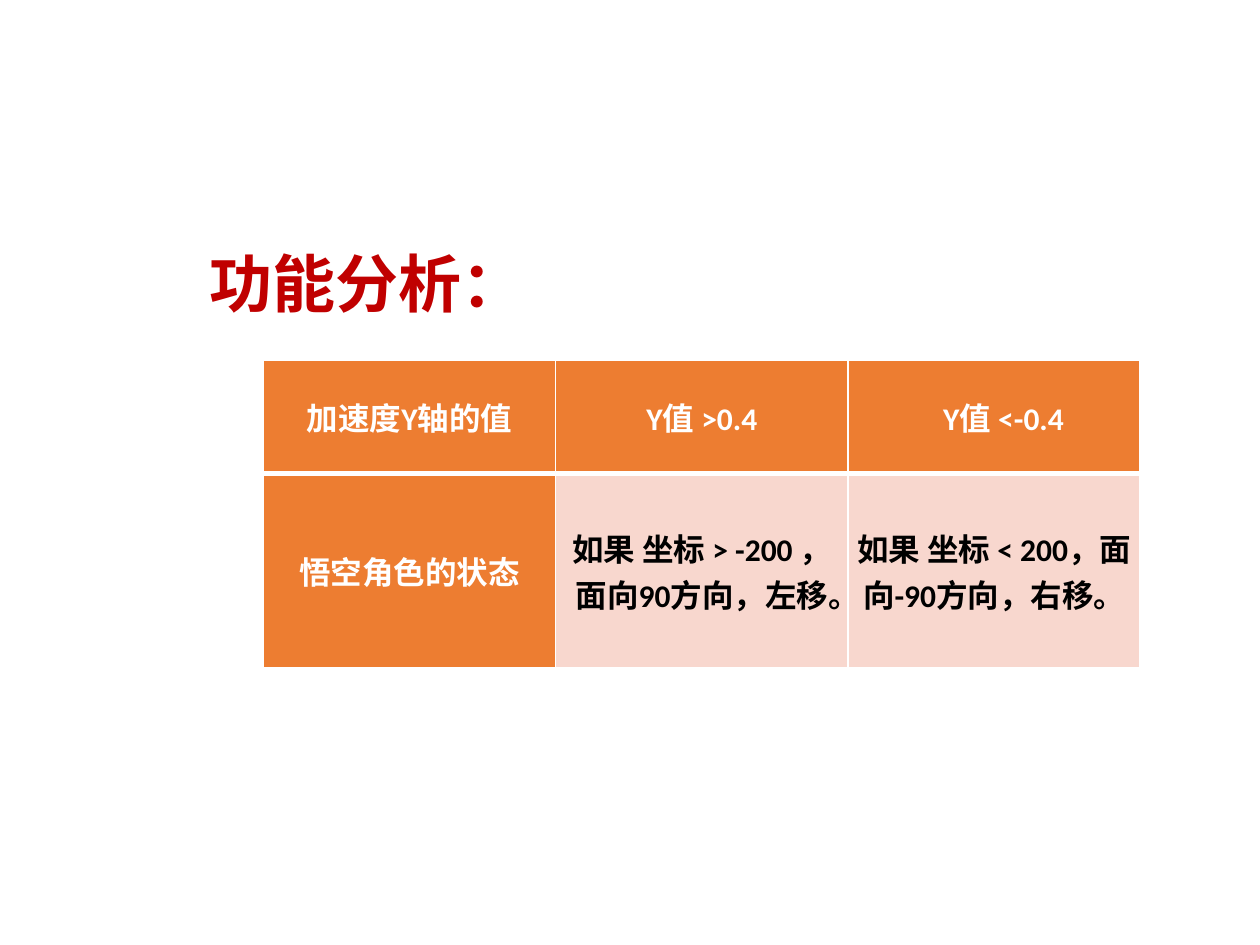
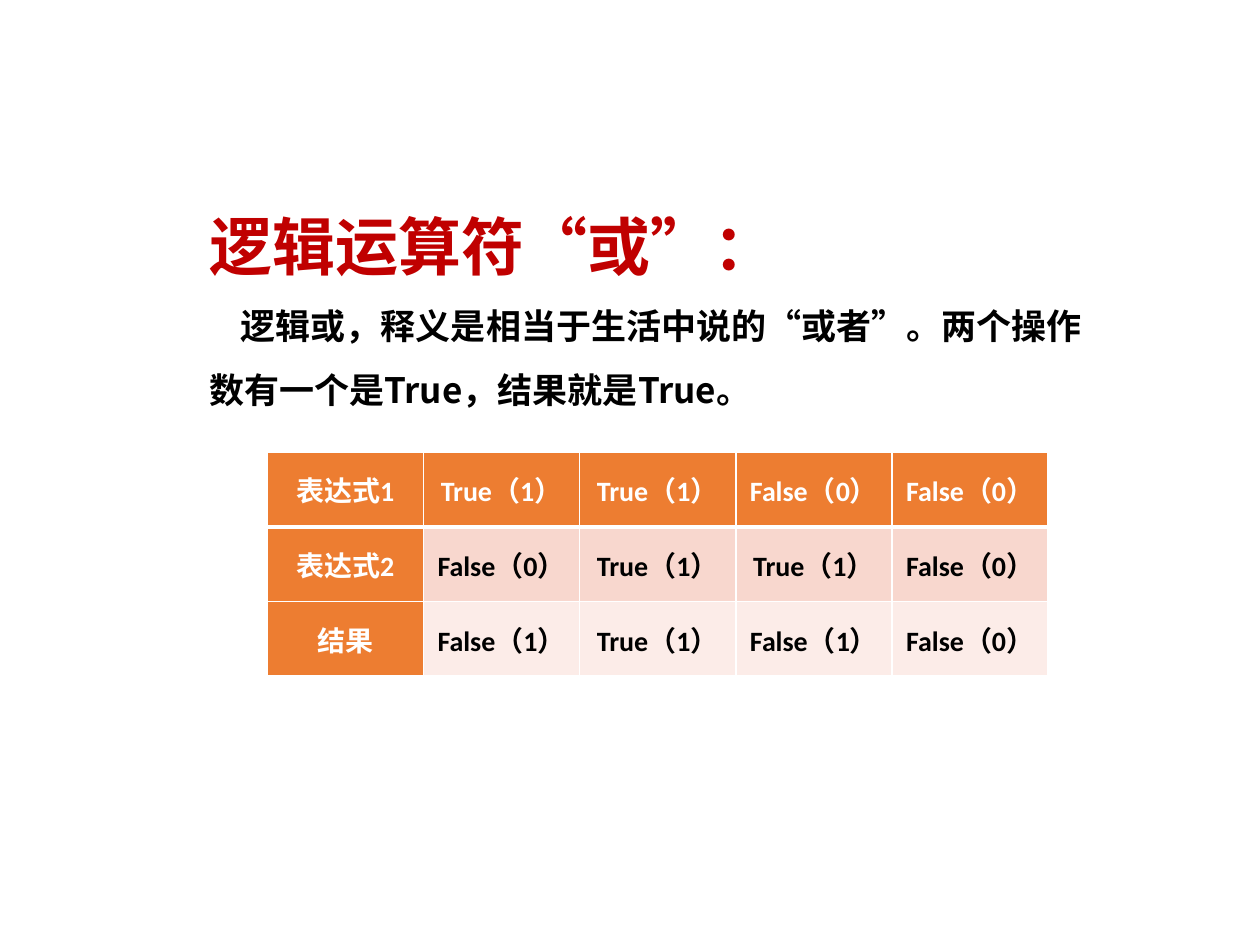
"""Builds two slides on Y axis control and the logical operator "or"."""
from lxml.etree import SubElement as Sub
from pptx import Presentation
from pptx.dml.color import RGBColor
from pptx.enum.text import MSO_ANCHOR as Anchor, MSO_AUTO_SIZE as Fit, PP_ALIGN as Align
from pptx.oxml.ns import qn
from pptx.util import Inches, Pt

SANS, LATIN = "Noto Sans CJK SC", "Calibri"
RED, BLACK, WHITE, ORANGE = "C00000", "000000", "FFFFFF", "ED7D31"
TINTS = ["F8D7CE", "FCECE8"]
LEFT, WIDTH = 1.56, 7.17


def tint(hue):
    return RGBColor.from_string(hue)


def write(frame, text, size, font, hue, **form):
    para = frame.paragraphs[0]
    run = para.add_run()
    run.text = text
    for name, value in {"size": Pt(size), "name": font, "bold": True}.items():
        setattr(run.font, name, value)
    run.font.color.rgb = tint(hue)
    Sub(run.font._element, qn("a:ea"), typeface=SANS)
    for name, value in form.items():
        setattr(para, name, value)
    return para


slides = [
    {"layout": 5, "title": "功能分析：", "pitch": 88, "size": 18,
     "at": (2.09, 2.86), "col": 2.32, "rows": [0.9, 1.54],
     "cells": [["加速度Y轴的值", "Y值 >0.4", "Y值 <-0.4"],
               ["悟空角色的状态", "如果 坐标 > -200 ，面向90方向，左移。",
                "如果 坐标 < 200，面向-90方向，右移。"]]},
    {"layout": 1, "title": "逻辑运算符“或”：", "pitch": 67, "size": 16,
     "body": "逻辑或，释义是相当于生活中说的“或者”。两个操作数有一个是True，结果就是True。",
     "at": (2.12, 3.59), "col": 1.24, "rows": [0.58] * 3,
     "cells": [["表达式1", "True（1）", "True（1）", "False（0）", "False（0）"],
               ["表达式2", "False（0）", "True（1）", "True（1）", "False（0）"],
               ["结果", "False（1）", "True（1）", "False（1）", "False（0）"]]},
]

deck = Presentation()
deck.slide_width, deck.slide_height = Inches(10), Inches(7.5)

for page in slides:
    slide = deck.slides.add_slide(deck.slide_layouts[page["layout"]])
    parts = [(slide.shapes.title, page["title"], 1.27, 1.09, 36, RED, page["pitch"])]
    if "body" in page:
        parts.append((slide.placeholders[1], page["body"], 2.19, 1.12, 20, BLACK, 36.6))
    for box, text, top, high, size, hue, pitch in parts:
        box.left, box.top, box.width, box.height = map(Inches, (LEFT, top, WIDTH, high))
        frame = box.text_frame
        frame.word_wrap, frame.auto_size = True, Fit.NONE
        frame.vertical_anchor = Anchor.TOP
        para = write(frame, text, size, SANS, hue, alignment=Align.LEFT,
                     line_spacing=Pt(pitch), space_before=Pt(0))
        if hue == BLACK:
            props = para._p.get_or_add_pPr()
            props.set("marL", "0")
            props.set("indent", str(Inches(0.25)))
            Sub(props, qn("a:buNone"))

    cells, rows, col = page["cells"], page["rows"], page["col"]
    count = len(cells[0])
    left, top = page["at"]
    grid = slide.shapes.add_table(len(rows), count, Inches(left), Inches(top),
                                  Inches(col * count), Inches(sum(rows))).table
    for column in grid.columns:
        column.width = Inches(col)
    for r, line in enumerate(cells):
        grid.rows[r].height = Inches(rows[r])
        for c, text in enumerate(line):
            cell = grid.cell(r, c)
            head = r == 0 or c == 0
            form = {"margin_left": Inches(0.07), "margin_right": Inches(0.07),
                    "margin_top": 0, "margin_bottom": 0,
                    "vertical_anchor": Anchor.MIDDLE}
            for name, value in form.items():
                setattr(cell, name, value)
            props = cell._tc.get_or_add_tcPr()
            for side in "LRTB":
                thick = (r, side) in [(0, "B"), (1, "T")]
                edge = Sub(props, qn("a:ln" + side), w=str(Pt(3 if thick else 1)))
                Sub(Sub(edge, qn("a:solidFill")), qn("a:srgbClr"), val=WHITE)
            cell.fill.solid()
            cell.fill.fore_color.rgb = tint(ORANGE if head else TINTS[r - 1])
            para = write(cell.text_frame, text, page["size"], LATIN,
                         WHITE if head else BLACK, alignment=Align.CENTER)
            if text == "Y值 <-0.4":
                para._p.get_or_add_pPr().set("indent", str(Inches(0.15)))

deck.save("out.pptx")
